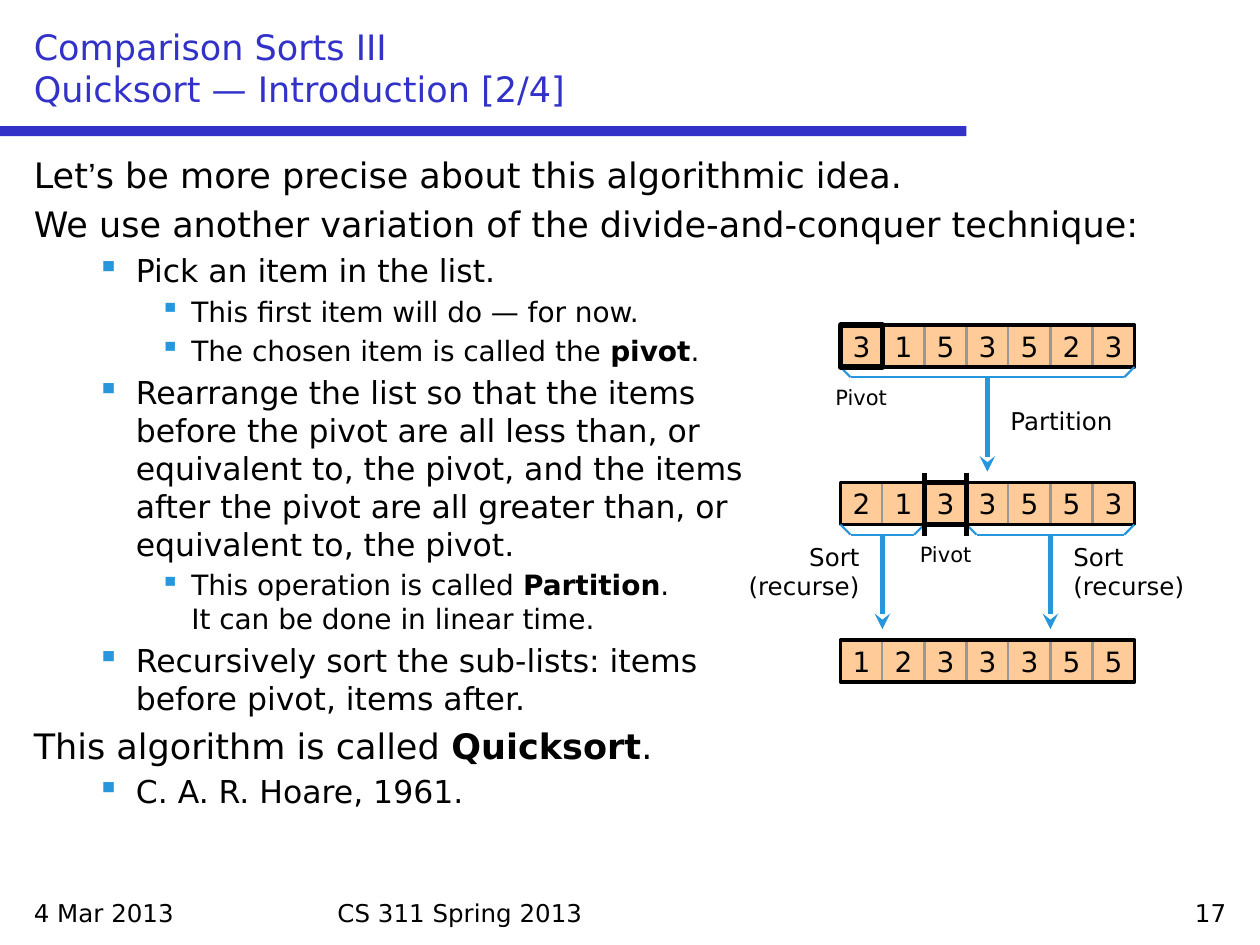
import copy

import pptx
import pptx.dml.color
import pptx.enum.shapes
import pptx.enum.text
import pptx.oxml.ns
import pptx.util
from lxml import etree

Inches = pptx.util.Inches
Pt = pptx.util.Pt
RGBColor = pptx.dml.color.RGBColor
qn = pptx.oxml.ns.qn
PP_ALIGN = pptx.enum.text.PP_ALIGN
MSO_ANCHOR = pptx.enum.text.MSO_ANCHOR
RECT = pptx.enum.shapes.MSO_SHAPE.RECTANGLE
STRAIGHT = pptx.enum.shapes.MSO_CONNECTOR.STRAIGHT

BLACK = RGBColor(0x00, 0x00, 0x00)
INDIGO = RGBColor(0x32, 0x32, 0xC8)
BLUE = RGBColor(0x28, 0x96, 0xDC)
PEACH = RGBColor(0xFF, 0xCC, 0x99)
GRAY = RGBColor(0x98, 0x98, 0x98)

prs = pptx.Presentation()
prs.slide_width = Inches(10)
prs.slide_height = Inches(7.5)
s = prs.slides.add_slide(prs.slide_layouts[6])


def write(p, runs, size, color=BLACK, align=PP_ALIGN.LEFT, before=0):
    p.alignment = align
    if before:
        spacing = etree.SubElement(p._p.get_or_add_pPr(), qn("a:spcBef"))
        etree.SubElement(spacing, qn("a:spcPct"), val=str(before * 1000))
    for text, changes in runs:
        for i, part in enumerate(text.split("\n")):
            if i:
                p._p.add_br().append(copy.deepcopy(r._r.rPr))
            r = p.add_run()
            r.text = part
            r.font.color.rgb = color
            font = {"name": "DejaVu Sans", "size": Pt(size), "bold": False}
            for key, value in {**font, **changes}.items():
                setattr(r.font, key, value)


def draw_line(x1, y1, x2, y2, color, width, arrow=False):
    c = s.shapes.add_connector(STRAIGHT, Inches(x1), Inches(y1), Inches(x2), Inches(y2))
    c.line.color.rgb = color
    c.line.width = Pt(width)
    etree.SubElement(c._element.spPr, qn("a:effectLst"))
    if arrow:
        etree.SubElement(c.line._get_or_add_ln(), qn("a:tailEnd"), type="stealth")


rule = s.shapes.add_shape(RECT, 0, Inches(1), Inches(7.67), Inches(0.08))
rule.shadow.inherit = False
rule.fill.solid()
rule.fill.fore_color.rgb = INDIGO
rule.line.fill.background()

LEFT, CENTER, RIGHT = PP_ALIGN.LEFT, PP_ALIGN.CENTER, PP_ALIGN.RIGHT
labels = [
    ("4 Mar 2013", 0.17, 7.08, 2.33, 0.33, 14, BLACK, LEFT, 0),
    ("CS 311 Spring 2013", 2.58, 7.08, 4.83, 0.33, 14, BLACK, LEFT, 0),
    ("17", 7.5, 7.08, 2.33, 0.33, 14, BLACK, RIGHT, 0),
    ("Comparison Sorts III\nQuicksort — Introduction [2/4]",
     0.17, 0.17, 9.67, 0.75, 20, INDIGO, LEFT, 0),
    ("Sort (recurse)", 5.67, 4.25, 1.25, 0.58, 14, BLACK, RIGHT, 50),
    ("Sort (recurse)", 8.42, 4.25, 1.25, 0.58, 14, BLACK, LEFT, 50),
    ("Partition", 7.92, 3.17, 1.25, 0.34, 14, BLACK, LEFT, 50),
    ("Pivot", 6.5, 3, 0.67, 0.3, 12, BLACK, CENTER, 50),
    ("Pivot", 7.17, 4.25, 0.67, 0.3, 12, BLACK, CENTER, 50),
]
for text, x, y, w, h, size, color, align, before in labels:
    tf = s.shapes.add_textbox(Inches(x), Inches(y), Inches(w), Inches(h)).text_frame
    tf.word_wrap = True
    tf.vertical_anchor = MSO_ANCHOR.BOTTOM if color == INDIGO else MSO_ANCHOR.TOP
    write(tf.paragraphs[0], [(text, {})], size, color, align, before)

BOLD = {"bold": True}
body = [
    (0, [("Let", {}), ("’", {"name": "Arial"}),
         ("s be more precise about this algorithmic idea.", {})]),
    (0, [("We use another variation of the divide-and-conquer technique:", {})]),
    (1, [("Pick an item in the list.", {})]),
    (2, [("This first item will do — for now.", {})]),
    (2, [("The chosen item is called the ", {}), ("pivot", BOLD), (".", {})]),
    (1, [("Rearrange the list so that the items\n"
          "before the pivot are all less than, or\n"
          "equivalent to, the pivot, and the items\n"
          "after the pivot are all greater than, or\n"
          "equivalent to, the pivot.", {})]),
    (2, [("This operation is called ", {}), ("Partition", BOLD),
         (".\nIt can be done in linear time.", {})]),
    (1, [("Recursively sort the sub-lists: items\nbefore pivot, items after.", {})]),
    (0, [("This algorithm is called ", {}), ("Quicksort", BOLD), (".", {})]),
    (1, [("C. A. R. Hoare, 1961.", {})]),
]
levels = [(20, 0.38, 0.38), (18, 0.81, 0.31), (16, 1.25, 0.25)]
tf = s.shapes.add_textbox(Inches(0.17), Inches(1.17), Inches(9.67), Inches(5.83)).text_frame
tf.word_wrap = True
for i, (level, runs) in enumerate(body):
    p = tf.add_paragraph() if i else tf.paragraphs[0]
    size, margin, hanging = levels[level]
    p.level = level
    write(p, runs, size, before=20)
    pPr = p._p.get_or_add_pPr()
    pPr.set("marL", str(Inches(margin)))
    pPr.set("indent", str(-Inches(hanging)))
    if level:
        bullet_color = etree.SubElement(pPr, qn("a:buClr"))
        etree.SubElement(bullet_color, qn("a:srgbClr"), val=str(BLUE))
        etree.SubElement(pPr, qn("a:buChar"), char="▪")

CELL = 1 / 3
LIST_X = 6.67
BEVEL = 0.08
lists = [
    (2.58, "3153523", 0, [(0, 7)]),
    (3.83, "2133553", 2, [(0, 2), (3, 7)]),
    (5.08, "1233355", None, []),
]
for y, digits, pivot, brackets in lists:
    boxes = [(i, 1, d, GRAY, 1.25) for i, d in enumerate(digits) if i != pivot]
    boxes.append((0, len(digits), "", BLACK, 2))
    if pivot is not None:
        boxes.append((pivot, 1, digits[pivot], BLACK, 3))
    for column, span, digit, color, width in boxes:
        if width == 3:
            for first, last in brackets:
                x1, x2 = LIST_X + first * CELL, LIST_X + last * CELL
                top, bottom = y + CELL, y + CELL + BEVEL
                middle = (x1 + x2) / 2
                draw_line(x1, top, x1 + BEVEL, bottom, BLUE, 1.25)
                draw_line(x1 + BEVEL, bottom, x2 - BEVEL, bottom, BLUE, 1.25)
                draw_line(x2, top, x2 - BEVEL, bottom, BLUE, 1.25)
                draw_line(middle, bottom, middle, bottom + 0.75, BLUE, 3, arrow=True)
        sp = s.shapes.add_shape(RECT, Inches(LIST_X + column * CELL), Inches(y),
                                Inches(span * CELL), Inches(CELL))
        sp.shadow.inherit = False
        sp.line.color.rgb = color
        sp.line.width = Pt(width)
        if digit:
            sp.fill.solid()
            sp.fill.fore_color.rgb = PEACH
            sp.text_frame.word_wrap = False
            sp.text_frame.vertical_anchor = MSO_ANCHOR.MIDDLE
            write(sp.text_frame.paragraphs[0], [(digit, {})], 16, align=CENTER)
        else:
            sp.fill.background()

for column in (2, 3):
    x = LIST_X + column * CELL
    draw_line(x, 3.75, x, 4.25, BLACK, 3)

prs.save("out.pptx")
